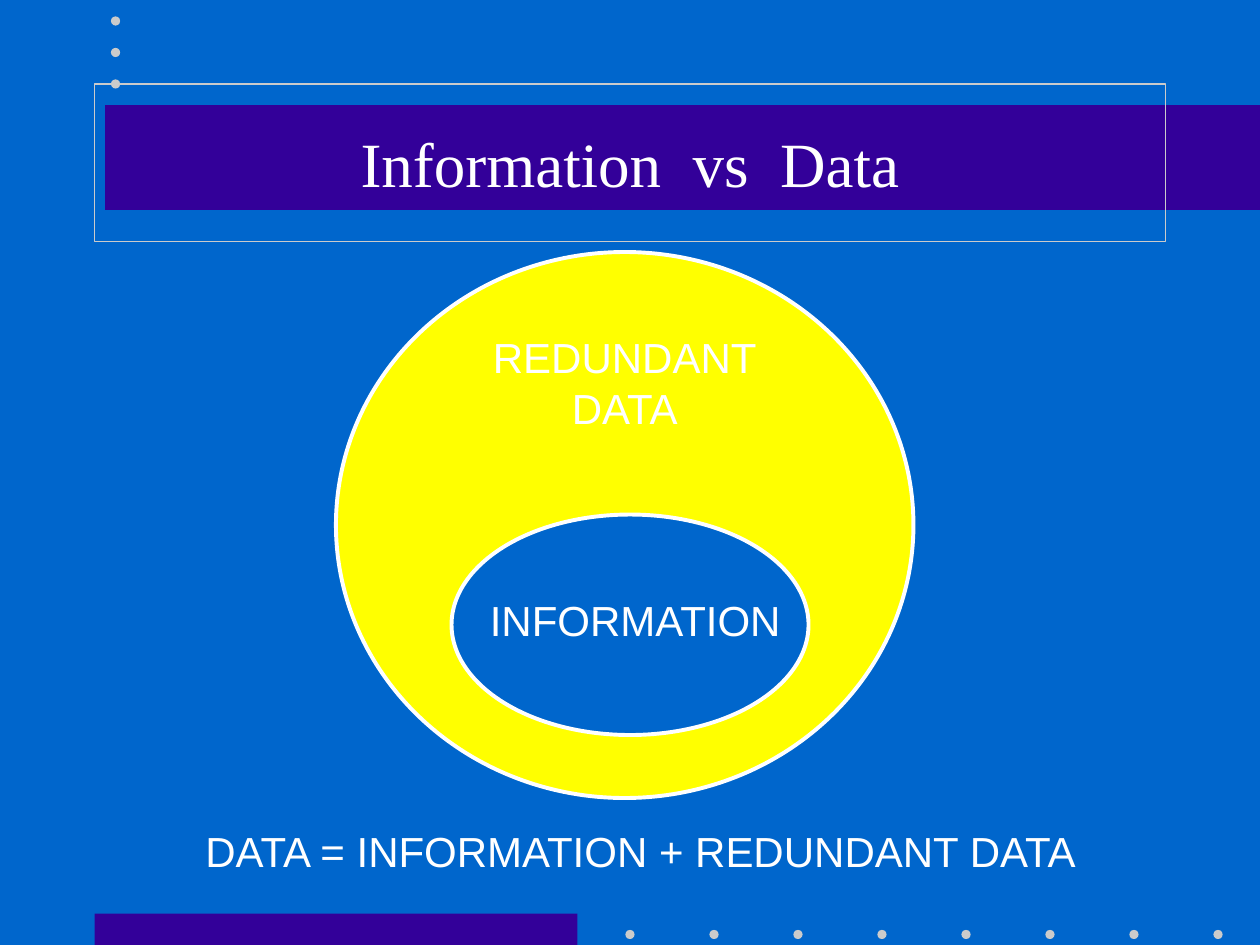
from dataclasses import dataclass

from pptx import Presentation
from pptx.dml.color import RGBColor
from pptx.enum.shapes import MSO_SHAPE
from pptx.enum.text import MSO_ANCHOR, PP_ALIGN
from pptx.util import Pt

RECTANGLE, ELLIPSE = MSO_SHAPE.RECTANGLE, MSO_SHAPE.OVAL
CENTER = PP_ALIGN.CENTER
TOP, MIDDLE = MSO_ANCHOR.TOP, MSO_ANCHOR.MIDDLE
TITLE_ONLY_LAYOUT = 5


@dataclass(frozen=True)
class Theme:
    background: RGBColor = RGBColor(0x00, 0x66, 0xCC)
    band: RGBColor = RGBColor(0x33, 0x00, 0x99)
    dot: RGBColor = RGBColor(0xCB, 0xCB, 0xCB)
    highlight: RGBColor = RGBColor(0xFF, 0xFF, 0x00)
    white: RGBColor = RGBColor(0xFF, 0xFF, 0xFF)
    title_font: str = "Times New Roman"
    body_font: str = "Arial"
    title_size: float = 36
    body_size: float = 24
    frame_width: float = 0.75
    outline_width: float = 2.25
    dot_size: float = 5.25


class SlideBuilder:
    """Holds the theme and the slide being drawn; all lengths are in points."""

    def __init__(self, slide, theme):
        self.slide = slide
        self.theme = theme
        fill = slide.background.fill
        fill.solid()
        fill.fore_color.rgb = theme.background

    def shape(self, kind, box, fill_color, outlined=False):
        shape = self.slide.shapes.add_shape(kind, *map(Pt, box))
        shape.shadow.inherit = False
        shape.fill.solid()
        shape.fill.fore_color.rgb = fill_color
        if outlined:
            shape.line.color.rgb = self.theme.white
            shape.line.width = Pt(self.theme.outline_width)
        else:
            shape.line.fill.background()

    def dots(self, count, start, step):
        """Draw evenly spaced dots from a first centre, each moved by step."""
        size = self.theme.dot_size
        for index in range(count):
            left, top = (first + index * move - size / 2
                         for first, move in zip(start, step))
            self.shape(ELLIPSE, (left, top, size, size), self.theme.dot)

    def set_text(self, text_frame, text, font_name, size, anchor):
        text_frame.word_wrap = True
        text_frame.vertical_anchor = anchor
        text_frame.text = text
        paragraph = text_frame.paragraphs[0]
        paragraph.alignment = CENTER
        font_format = {"name": font_name, "size": Pt(size), "bold": False}
        for run in paragraph.runs:
            for attribute, value in font_format.items():
                setattr(run.font, attribute, value)
            run.font.color.rgb = self.theme.white

    def label(self, box, text):
        text_box = self.slide.shapes.add_textbox(*map(Pt, box))
        self.set_text(text_box.text_frame, text, self.theme.body_font,
                      self.theme.body_size, TOP)

    def title(self, box, text):
        """Fill the title placeholder and bring it in front of the band."""
        title = self.slide.shapes.title
        for attribute, value in zip(("left", "top", "width", "height"), box):
            setattr(title, attribute, Pt(value))
        title.line.color.rgb = self.theme.dot
        title.line.width = Pt(self.theme.frame_width)
        self.set_text(title.text_frame, text, self.theme.title_font,
                      self.theme.title_size, MIDDLE)
        title.element.getparent().append(title.element)


def main():
    theme = Theme()
    presentation = Presentation()
    presentation.slide_width, presentation.slide_height = Pt(720), Pt(540)
    layout = presentation.slide_layouts[TITLE_ONLY_LAYOUT]
    builder = SlideBuilder(presentation.slides.add_slide(layout), theme)

    builder.shape(RECTANGLE, (54, 522, 276, 18), theme.band)
    builder.dots(8, start=(360, 534), step=(48, 0))
    builder.shape(RECTANGLE, (60, 60, 660, 60), theme.band)
    builder.dots(3, start=(66, 12), step=(0, 18))
    builder.title((54, 48, 612, 90), "Information  vs  Data")

    builder.shape(ELLIPSE, (192, 144, 330, 312), theme.highlight, outlined=True)
    builder.shape(ELLIPSE, (258, 294, 204, 126), theme.background, outlined=True)
    builder.label((270, 186, 174, 65), "REDUNDANT\vDATA")
    builder.label((264, 336, 198, 36), "INFORMATION")
    builder.label((72, 468, 588, 36), "DATA = INFORMATION + REDUNDANT DATA")

    presentation.save("out.pptx")


if __name__ == "__main__":
    main()
